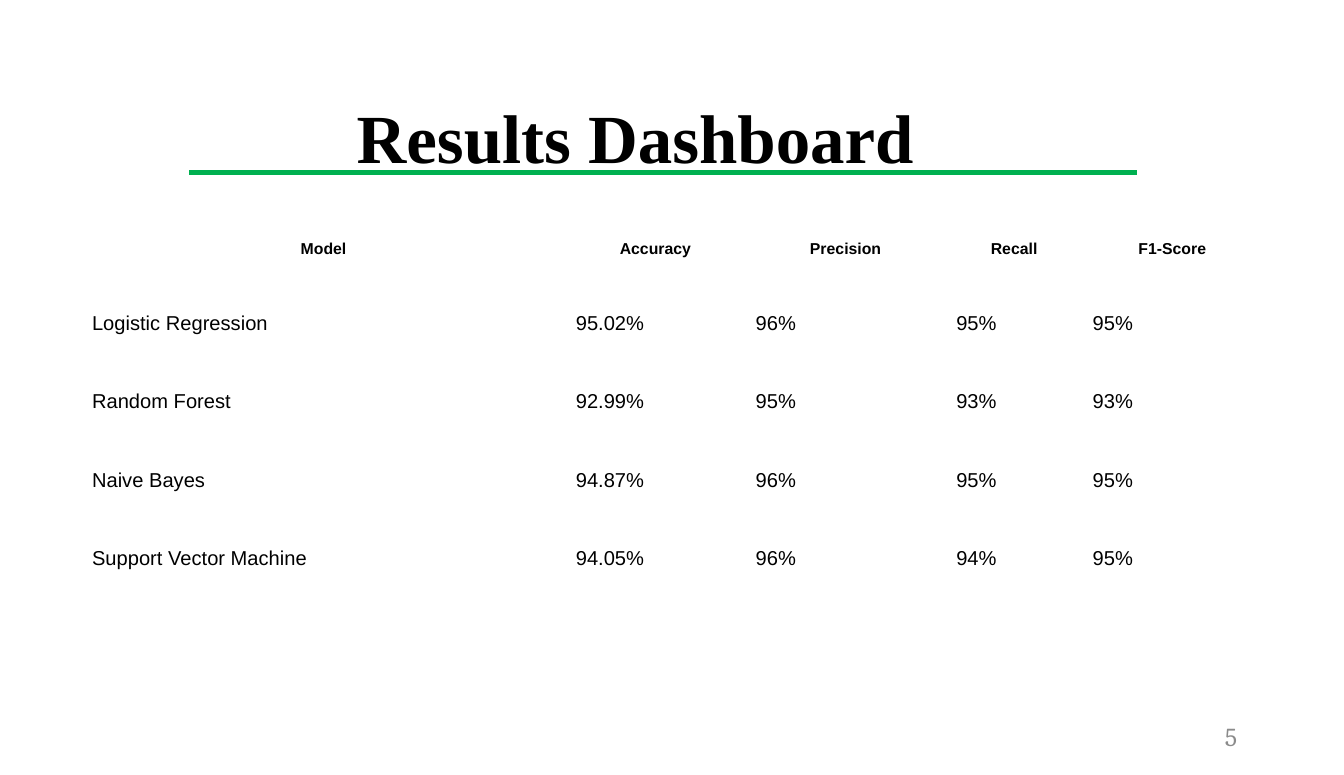
from pptx import Presentation
from pptx.dml.color import RGBColor
from pptx.enum.shapes import MSO_CONNECTOR
from pptx.enum.text import MSO_ANCHOR, MSO_AUTO_SIZE, PP_ALIGN
from pptx.oxml.ns import qn
from pptx.util import Inches, Pt
from lxml import etree

STRAIGHT = MSO_CONNECTOR.STRAIGHT
TOP, MIDDLE = MSO_ANCHOR.TOP, MSO_ANCHOR.MIDDLE
LEFT, CENTER = PP_ALIGN.LEFT, PP_ALIGN.CENTER
NO_AUTOFIT = MSO_AUTO_SIZE.NONE

COLORS = {"text": "000000", "rule": "00B050", "number": "8B8B8B"}
COLUMN_WIDTHS = [4.68, 1.74, 1.94, 1.32, 1.74]
HEADER_HEIGHT, BODY_HEIGHT = 0.72, 0.76
RESULTS = [
    ["Model", "Accuracy", "Precision", "Recall", "F1-Score"],
    ["Logistic Regression", "95.02%", "96%", "95%", "95%"],
    ["Random Forest", "92.99%", "95%", "93%", "93%"],
    ["Naive Bayes", "94.87%", "96%", "95%", "95%"],
    ["Support Vector Machine", "94.05%", "96%", "94%", "95%"],
]


def color(name):
    return RGBColor.from_string(COLORS[name])


def write(frame, text, size, font, tint="text", bold=False, align=LEFT):
    para = frame.paragraphs[0]
    para.alignment = align
    span = para.add_run()
    span.text = text
    span.font.size = Pt(size)
    span.font.name = font
    span.font.bold = bold
    span.font.color.rgb = color(tint)
    return para


def add_rule(page):
    rule = page.shapes.add_connector(
        STRAIGHT, Inches(1.83), Inches(1.67), Inches(11), Inches(1.67))
    rule.line.color.rgb = color("rule")
    rule.line.width = Pt(3.25)
    etree.SubElement(rule._element.spPr, qn("a:effectLst"))


def add_title(page, text):
    title = page.shapes.title
    title.left, title.top = Inches(0.69), Inches(0.66)
    title.width, title.height = Inches(11.7), Inches(1.91)
    frame = title.text_frame
    frame.auto_size = NO_AUTOFIT
    frame.vertical_anchor = MIDDLE
    frame.margin_left = Inches(2.76)
    frame.margin_bottom = Inches(0.64)
    write(frame, text, 48, "Times New Roman", bold=True)


def add_page_number(page, text):
    box = page.shapes.add_textbox(
        Inches(11.75), Inches(6.75), Inches(0.83), Inches(0.75))
    box.text_frame.word_wrap = True
    box.text_frame.vertical_anchor = MIDDLE
    write(box.text_frame, text, 18, "Cambria", "number")


def fill_cell(cell, text, is_header):
    cell.fill.background()
    cell.vertical_anchor = TOP
    cell.margin_left = cell.margin_right = Inches(0.1)
    cell.margin_top = cell.margin_bottom = Inches(0.1)
    if is_header:
        para = write(cell.text_frame, text, 11, "Arial", bold=True, align=CENTER)
        para.line_spacing = 1.15
    else:
        write(cell.text_frame, text, 14, "Arial")


def add_results_table(page):
    heights = [HEADER_HEIGHT] + [BODY_HEIGHT] * (len(RESULTS) - 1)
    table = page.shapes.add_table(
        len(RESULTS), len(COLUMN_WIDTHS), Inches(0.79), Inches(2.2),
        Inches(sum(COLUMN_WIDTHS)), Inches(sum(heights))).table
    table.first_row = False
    table.horz_banding = False
    for column, width in zip(table.columns, COLUMN_WIDTHS):
        column.width = Inches(width)
    for index, (row, height, values) in enumerate(zip(table.rows, heights, RESULTS)):
        row.height = Inches(height)
        for cell, value in zip(row.cells, values):
            fill_cell(cell, value, index == 0)


def main():
    deck = Presentation()
    deck.slide_width, deck.slide_height = Inches(13), Inches(7.5)
    page = deck.slides.add_slide(deck.slide_layouts[5])
    add_rule(page)
    add_title(page, "Results Dashboard")
    add_page_number(page, "5")
    add_results_table(page)
    deck.save("out.pptx")


if __name__ == "__main__":
    main()
